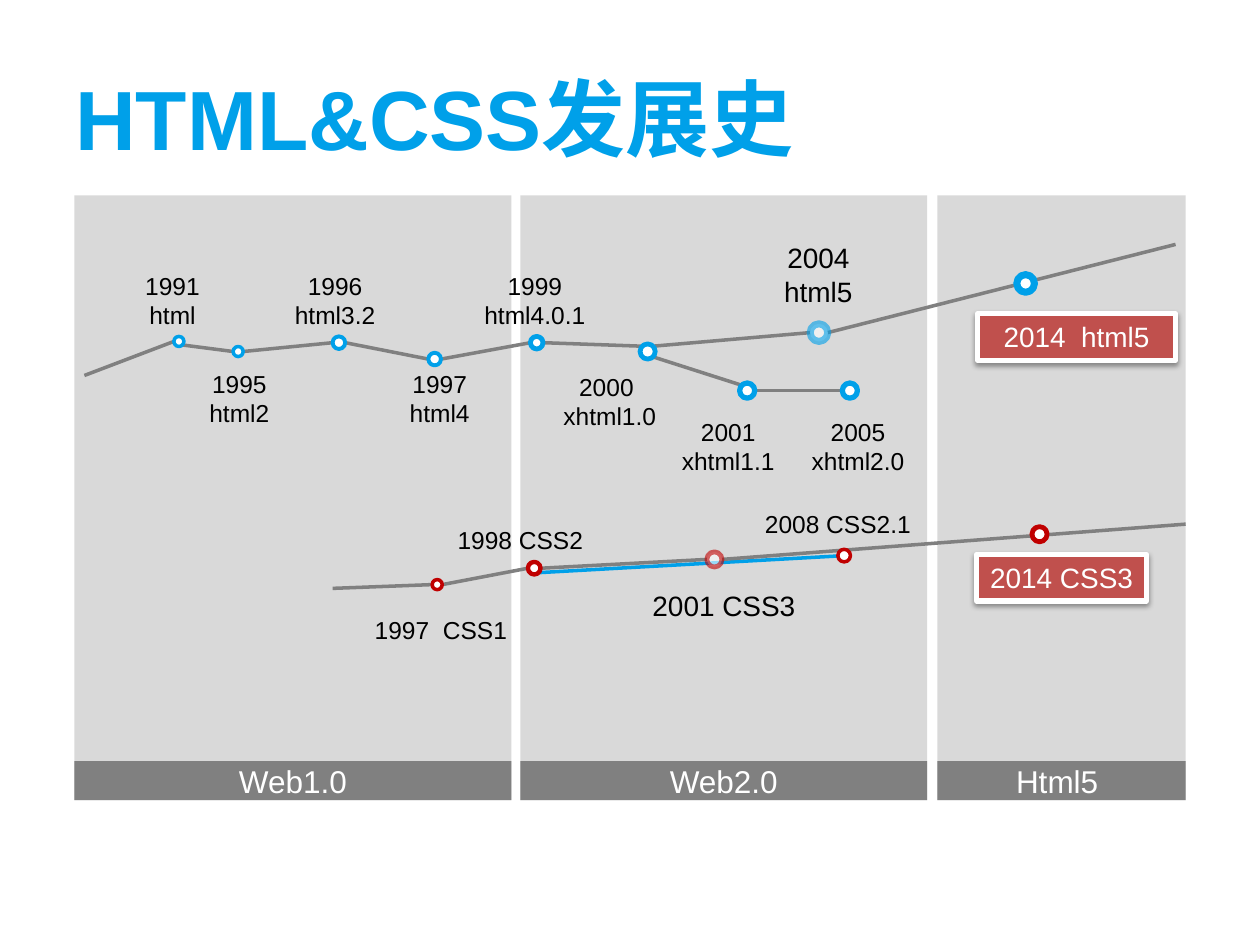
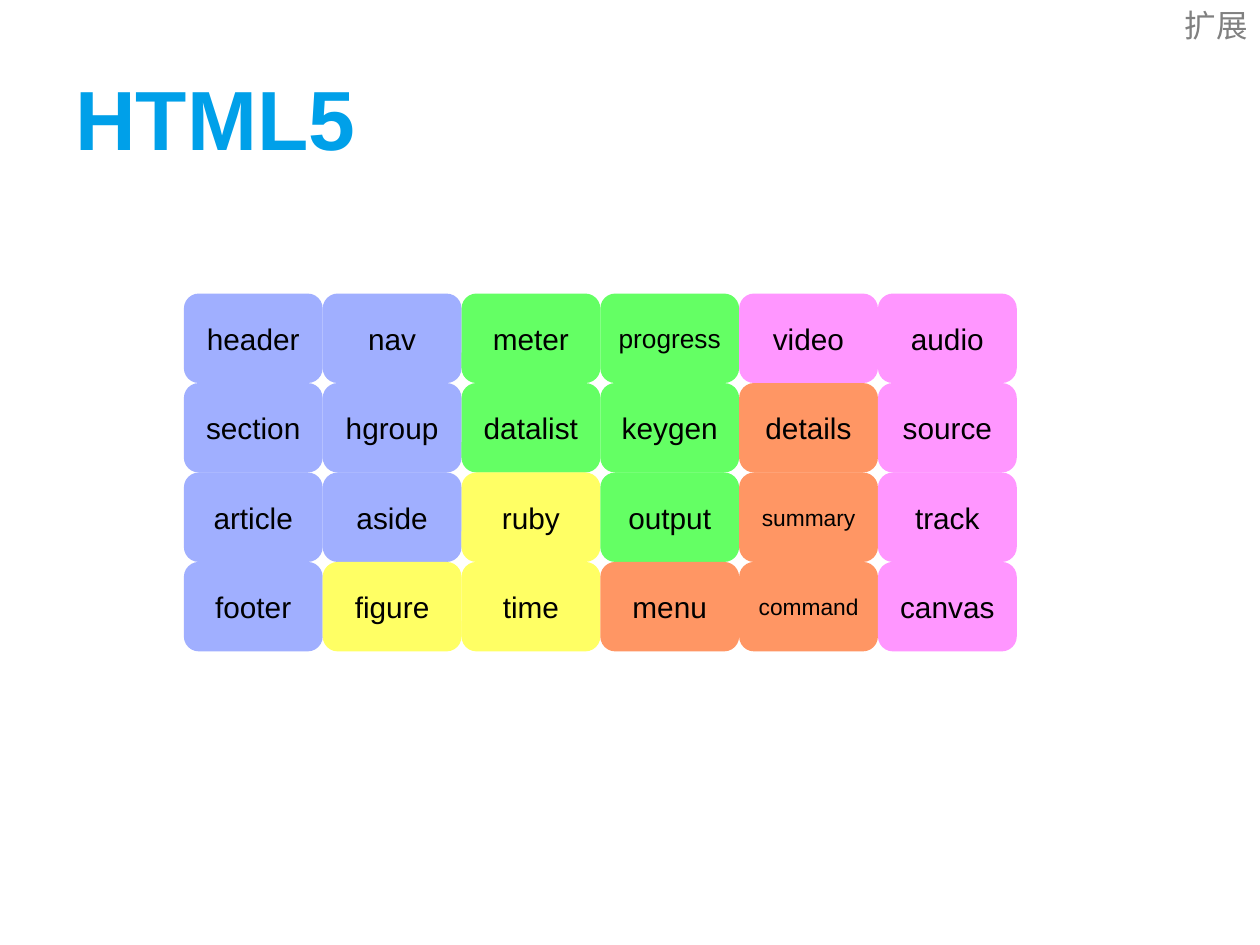
from collections import namedtuple

from lxml import etree
from pptx import Presentation
from pptx.dml.color import RGBColor
from pptx.enum.shapes import MSO_CONNECTOR, MSO_SHAPE
from pptx.enum.text import MSO_ANCHOR, PP_ALIGN
from pptx.oxml.ns import qn
from pptx.util import Inches, Pt

RECTANGLE, ROUNDED, OVAL = MSO_SHAPE.RECTANGLE, MSO_SHAPE.ROUNDED_RECTANGLE, MSO_SHAPE.OVAL
STRAIGHT = MSO_CONNECTOR.STRAIGHT
TOP, MIDDLE = MSO_ANCHOR.TOP, MSO_ANCHOR.MIDDLE
LEFT, CENTER, RIGHT = PP_ALIGN.LEFT, PP_ALIGN.CENTER, PP_ALIGN.RIGHT

FONT = "Arial"
COLORS = {
    "title": "00A0E9", "html": "00A0E9", "css": "C00000", "tag": "C0504D",
    "panel": "D9D9D9", "grey": "808080", "white": "FFFFFF", "black": "000000",
    "structure": "A0AFFF", "content": "FFFF64", "form": "64FF64",
    "interactive": "FF9664", "media": "FF96FF",
}

SLIDE_WIDTH, SLIDE_HEIGHT = Inches(10), Inches(7.5)
COLUMN, ROW = SLIDE_WIDTH / 100, SLIDE_HEIGHT / 75

Box = namedtuple("Box", "left top width height")
Dot = namedtuple("Dot", "x y size line color alpha", defaults=(0, 0, "html", None))

TITLE_BOX = Box(5, 3, 90, 12.5)
CORNER_BOX = Box(68.1, 0, 31.9, 4)
HISTORY_BOX = Box(5.9, 15.5, 88.2, 48)
ELEMENTS_BOX = Box(14.6, 23.3, 66.1, 28.4)

ERAS = [("Web1.0", 0, 34.7), ("Web2.0", 35.4, 32.3), ("Html5 ", 68.5, 19.7)]
ERA_BAND_ROWS = 3.1

DOTS = {
    "html start": Dot(0.8, 14.3),
    "html": Dot(8.3, 11.6, 0.8, 2),
    "html2": Dot(13, 12.4, 0.8, 2),
    "html3.2": Dot(21, 11.7, 1, 2.25),
    "html4": Dot(28.6, 13, 1, 2.25),
    "html4.0.1": Dot(36.7, 11.7, 1, 2.75),
    "xhtml1.0": Dot(45.5, 12.4, 1.2, 2.75),
    "xhtml1.1": Dot(53.4, 15.5, 1.2, 3),
    "xhtml2.0": Dot(61.55, 15.5, 1.2, 3),
    "html5 draft": Dot(59.1, 10.9, 1.4, 4, "html", 60),
    "html5": Dot(75.5, 7, 1.4, 4),
    "html end": Dot(87.4, 3.9),
    "css start": Dot(20.5, 31.2),
    "CSS1": Dot(28.8, 30.9, 0.8, 2, "css"),
    "CSS2": Dot(36.5, 29.6, 1, 2.5, "css"),
    "CSS3 draft": Dot(50.8, 28.9, 1.2, 2.75, "css", 60),
    "CSS2.1": Dot(61.1, 28.6, 1, 2, "css"),
    "CSS3": Dot(76.6, 26.9, 1.2, 2.75, "css"),
    "css end": Dot(88.2, 26.1),
}

SIDES = {
    "left": (-1, 0), "right": (1, 0), "center": (0, 0),
    "top left": (-0.7, -0.7), "top right": (0.7, -0.7), "bottom right": (0.7, 0.7),
}
ROUTES = [
    ("html start", "center", "html", "left", "grey"),
    ("html", "bottom right", "html2", "left", "grey"),
    ("html2", "right", "html3.2", "left", "grey"),
    ("html3.2", "right", "html4", "left", "grey"),
    ("html4", "right", "html4.0.1", "left", "grey"),
    ("html4.0.1", "right", "xhtml1.0", "top left", "grey"),
    ("xhtml1.0", "top right", "html5 draft", "left", "grey"),
    ("xhtml1.0", "bottom right", "xhtml1.1", "top left", "grey"),
    ("xhtml1.1", "right", "xhtml2.0", "left", "grey"),
    ("html5 draft", "right", "html end", "center", "grey"),
    ("css start", "center", "CSS1", "left", "grey"),
    ("CSS1", "right", "CSS2", "left", "grey"),
    ("CSS2", "right", "CSS3 draft", "left", "grey"),
    ("CSS2", "bottom right", "CSS2.1", "center", "html"),
    ("CSS3 draft", "right", "css end", "center", "grey"),
]

LABELS = [
    ("1991\nhtml", 4.6, 5.5, 6.4, 14),
    ("1995\nhtml2", 9.7, 13.3, 6.8, 14),
    ("1996\nhtml3.2", 16.5, 5.5, 8.4, 14),
    ("1997\nhtml4", 25.6, 13.3, 6.8, 14),
    ("1999\nhtml4.0.1", 31.5, 5.5, 10.1, 14),
    ("2000 \nxhtml1.0", 37.8, 13.5, 9.4, 14),
    ("2001\nxhtml1.1", 47.2, 17.1, 9.4, 14),
    ("2005\nxhtml2.0", 57.5, 17.1, 9.4, 14),
    ("2004\nhtml5", 51.2, 3.1, 15.7, 16),
    ("1997  CSS1", 22.8, 32.8, 12.6, 14),
    ("1998 CSS2", 29.4, 25.7, 12, 14),
    ("2008 CSS2.1", 53.5, 24.4, 14.2, 14),
    ("2001 CSS3", 44.8, 30.7, 13.5, 16),
]
TAGS = [("2014  html5", 71.7, 9.4, 15.7), ("2014 CSS3", 71.6, 28.5, 13.5)]
TAG_ROWS = 3.7

ELEMENTS = [
    ["header", "nav", "meter", "progress", "video", "audio"],
    ["section", "hgroup", "datalist", "keygen", "details", "source"],
    ["article", "aside", "ruby", "output", "summary", "track"],
    ["footer", "figure", "time", "menu", "command", "canvas"],
]
CATEGORIES = {"S": "structure", "C": "content", "F": "form", "I": "interactive", "M": "media"}
ELEMENT_CATEGORIES = ["SSFFMM", "SSFFIM", "SSCFIM", "SCCIIM"]
ELEMENT_SIZE = 17
SMALL_SIZES = {"progress": 15, "summary": 13, "command": 13}


def color(name):
    """Return the named colour."""
    return RGBColor.from_string(COLORS[name])


def within(outer, left, top, width, height):
    """Return a box measured from the corner of an outer box."""
    return Box(outer.left + left, outer.top + top, width, height)


def place(box):
    """Turn a box in grid cells into slide lengths."""
    return (round(box.left * COLUMN), round(box.top * ROW),
            round(box.width * COLUMN), round(box.height * ROW))


def write(shape, text, size, ink, align=CENTER, anchor=MIDDLE, bold=False, wrap=True):
    """Fill a shape with text in one style."""
    frame = shape.text_frame
    frame.text = text
    frame.word_wrap = wrap
    frame.vertical_anchor = anchor
    for para in frame.paragraphs:
        para.alignment = align
        for span in para.runs:
            span.font.name = FONT
            span.font.size = Pt(size)
            span.font.bold = bold
            span.font.color.rgb = color(ink)


def add_text(page, box, text, size, ink, **style):
    """Add a text box."""
    write(page.shapes.add_textbox(*place(box)), text, size, ink, **style)


def add_block(shapes, kind, box, fill, line=None, weight=0):
    """Add a filled shape, with an outline if one is named."""
    shape = shapes.add_shape(kind, *place(box))
    shape.shadow.inherit = False
    shape.fill.solid()
    shape.fill.fore_color.rgb = color(fill)
    if line:
        shape.line.color.rgb = color(line)
        shape.line.width = Pt(weight)
    else:
        shape.line.fill.background()
    return shape


def set_alpha(element, percent):
    """Make every plain colour in an element translucent."""
    for tint in element.iter(qn("a:srgbClr")):
        etree.SubElement(tint, qn("a:alpha"), val=str(percent * 1000))


def add_drop_shadow(shape):
    """Give a shape a soft shadow below it."""
    effects = shape._element.spPr.find(qn("a:effectLst"))
    shadow = etree.SubElement(effects, qn("a:outerShdw"), blurRad=str(Pt(3.1)),
                              dist=str(Pt(1.6)), dir="5400000", rotWithShape="0")
    etree.SubElement(shadow, qn("a:srgbClr"), val=COLORS["black"])
    set_alpha(shadow, 38)


def add_title(page, text):
    """Add the slide title."""
    add_text(page, TITLE_BOX, text, 48, "title", align=LEFT, bold=True)


def add_eras(page, box):
    """Add the grouped era panels with their name bands."""
    for name, left, width in ERAS:
        shapes = page.shapes.add_group_shape().shapes
        add_block(shapes, RECTANGLE, within(box, left, 0, width, box.height), "panel")
        band_box = within(box, left, box.height - ERA_BAND_ROWS, width, ERA_BAND_ROWS)
        write(add_block(shapes, RECTANGLE, band_box, "grey"), name, 18, "white")


def dot_edge(box, name, side):
    """Return the slide point on the given side of a dot."""
    dot, (across, down) = DOTS[name], SIDES[side]
    radius = dot.size / 2
    return place(within(box, dot.x + across * radius, dot.y + down * radius, 0, 0))[:2]


def add_routes(page, box):
    """Join the dots with lines."""
    for start, start_side, end, end_side, ink in ROUTES:
        line = page.shapes.add_connector(STRAIGHT, *dot_edge(box, start, start_side),
                                         *dot_edge(box, end, end_side))
        line.line.color.rgb = color(ink)
        line.line.width = Pt(2)
        etree.SubElement(line._element.spPr, qn("a:effectLst"))


def add_dots(page, box):
    """Draw a ring for each release."""
    for dot in DOTS.values():
        if dot.size:
            radius = dot.size / 2
            ring_box = within(box, dot.x - radius, dot.y - radius, dot.size, dot.size)
            ring = add_block(page.shapes, OVAL, ring_box, "white", dot.color, dot.line)
            if dot.alpha:
                set_alpha(ring._element, dot.alpha)


def add_labels(page, box):
    """Add the release labels and the highlighted tags."""
    for text, left, top, width, size in LABELS:
        lines = text.count("\n") + 1
        height = 1 + lines * size / 6
        add_text(page, within(box, left, top, width, height), text, size, "black",
                 align=CENTER, anchor=TOP, wrap=False)
    for text, left, top, width in TAGS:
        tag = add_block(page.shapes, RECTANGLE, within(box, left, top, width, TAG_ROWS),
                        "tag", "white", 3)
        add_drop_shadow(tag)
        write(tag, text, 16, "white", anchor=TOP, wrap=False)


def add_elements(page, box):
    """Lay out the element names in an even grid."""
    height = box.height / len(ELEMENTS)
    for row, (names, codes) in enumerate(zip(ELEMENTS, ELEMENT_CATEGORIES)):
        width = box.width / len(names)
        for column, (name, code) in enumerate(zip(names, codes)):
            cell_box = within(box, column * width, row * height, width, height)
            cell = add_block(page.shapes, ROUNDED, cell_box, CATEGORIES[code])
            write(cell, name, SMALL_SIZES.get(name, ELEMENT_SIZE), "black", wrap=False)


def build_history(page):
    """Build the timeline slide."""
    add_title(page, "HTML&CSS发展史")
    for add_part in (add_eras, add_routes, add_dots, add_labels):
        add_part(page, HISTORY_BOX)


def build_elements(page):
    """Build the slide of new elements."""
    add_title(page, "HTML5")
    add_text(page, CORNER_BOX, "扩展", 18, "grey", align=RIGHT, anchor=TOP)
    add_elements(page, ELEMENTS_BOX)


def main():
    """Build and save the deck."""
    deck = Presentation()
    deck.slide_width, deck.slide_height = SLIDE_WIDTH, SLIDE_HEIGHT
    blank = deck.slide_layouts[6]
    for build in (build_history, build_elements):
        build(deck.slides.add_slide(blank))
    deck.save("out.pptx")


if __name__ == "__main__":
    main()
